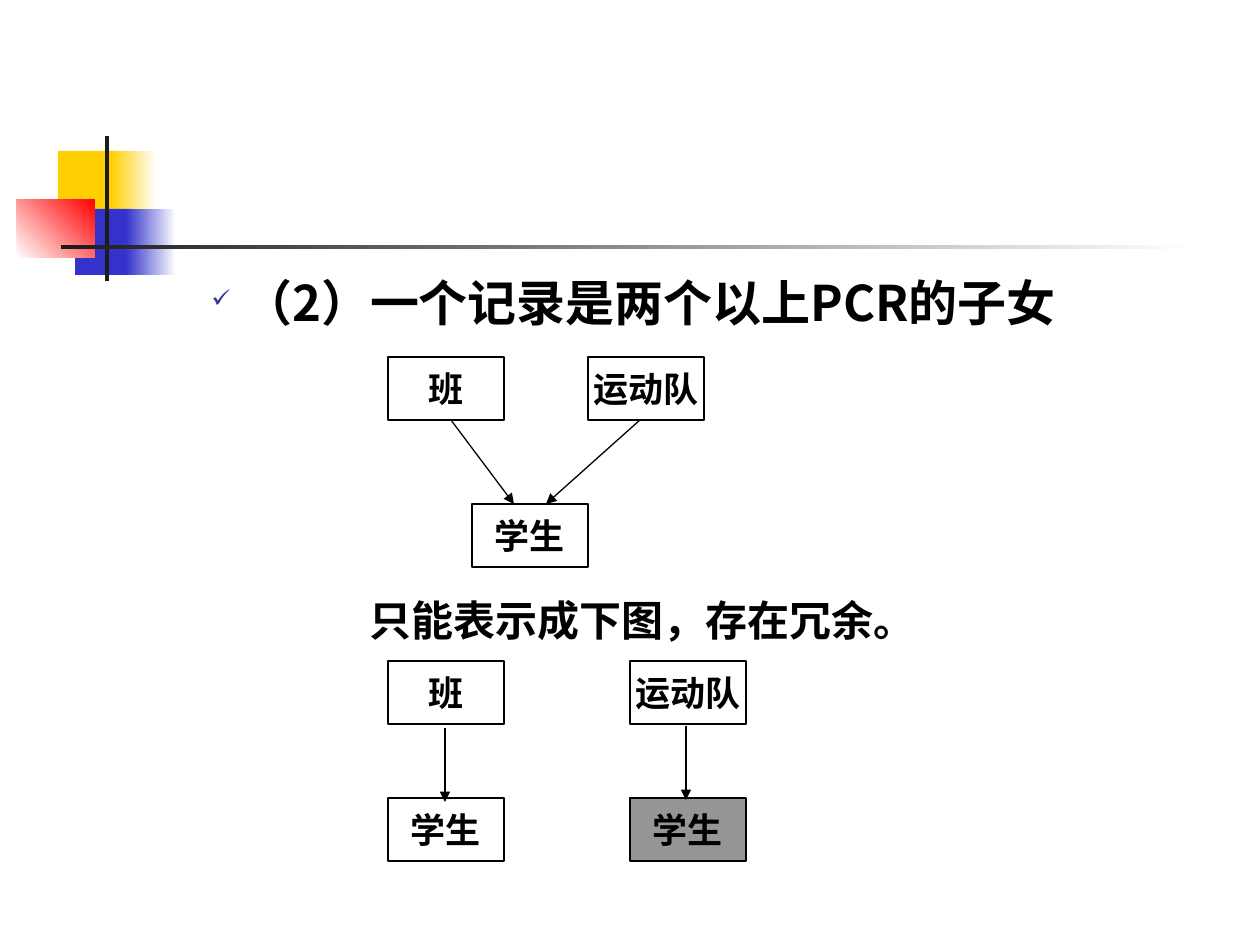
from collections import namedtuple
from lxml.etree import SubElement as Sub
from pptx import Presentation
from pptx.dml.color import RGBColor as RGB
from pptx.enum.shapes import MSO_CONNECTOR as LINK, MSO_SHAPE as SHAPE
from pptx.enum.text import MSO_ANCHOR as ANCHOR, PP_ALIGN as ALIGN
from pptx.oxml.ns import qn
from pptx.util import Pt

Theme = namedtuple("Theme", "gold blue red dark white black gray check head note box line font cjk")
theme = Theme("FFCF01", "3333CC", "FF0000", "1C1C1C", "FFFFFF", "000000", "969696",
              "333399", 28, 24, 20, 0.75, "Cabin", "Noto Sans CJK SC")
PX = 914400 / 126


def emu(*vals):
    return [round(v * PX) for v in vals]


def style(para, size, name):
    font = para.font
    font.size, font.name, font.bold = Pt(size), name, True
    font.color.rgb = RGB.from_string(theme.black)


deck = Presentation()
deck.slide_width, deck.slide_height = emu(1260, 945)
slide = deck.slides.add_slide(deck.slide_layouts[6])
shapes = slide.shapes

motif = [
    (58, 151, 60, 66, theme.gold, None, 0),
    (111, 151, 45, 66, theme.gold, theme.white, 0),
    (75, 209, 58, 66, theme.blue, None, 0),
    (126, 209, 50, 66, theme.blue, theme.white, 0),
    (17, 199, 78, 59, theme.white, theme.red, 45),
    (105, 136, 4, 145, theme.dark, None, 0),
    (61, 245, 1134, 4, theme.dark, theme.white, 0),
]
for x, y, w, h, start, end, angle in motif:
    part = shapes.add_shape(SHAPE.RECTANGLE, *emu(x, y, w, h))
    part.shadow.inherit = False
    part.line.fill.background()
    if end:
        part.fill.gradient()
        part.fill.gradient_angle = angle
        for stop, color in zip(part.fill.gradient_stops, (start, end)):
            stop.color.rgb = RGB.from_string(color)
    else:
        part.fill.solid()
        part.fill.fore_color.rgb = RGB.from_string(start)

frame = shapes.add_textbox(*emu(73, 273, 1071, 68)).text_frame
frame.word_wrap = True
head = frame.paragraphs[0]
head.text = "（2）一个记录是两个以上PCR的子女"
head.level = 2
head.line_spacing = 0.9
head.space_before = Pt(7)
props = head._p.get_or_add_pPr()
left, hang = emu(158, -32)
props.set("marL", str(left))
props.set("indent", str(hang))
Sub(Sub(props, qn("a:buClr")), qn("a:srgbClr"), val=theme.check)
Sub(props, qn("a:buSzPct"), val="50000")
Sub(props, qn("a:buChar"), char="✓")
style(head, theme.head, theme.cjk)

frame = shapes.add_textbox(*emu(357, 588, 662, 63)).text_frame
frame.word_wrap = True
note = frame.paragraphs[0]
note.text = "只能表示成下图，存在冗余。"
note.space_before = Pt(15)
style(note, theme.note, theme.font)

nodes = [
    ("学生", 472, 504, None),
    ("班", 388, 357, None),
    ("运动队", 588, 357, None),
    ("学生", 388, 798, None),
    ("班", 388, 661, None),
    ("学生", 630, 798, theme.gray),
    ("运动队", 630, 661, None),
]
for text, x, y, color in nodes:
    node = shapes.add_shape(SHAPE.RECTANGLE, *emu(x, y, 116, 63))
    node.shadow.inherit = False
    if color:
        node.fill.solid()
        node.fill.fore_color.rgb = RGB.from_string(color)
    else:
        node.fill.background()
    node.line.color.rgb = RGB.from_string(theme.black)
    node.line.width = Pt(theme.line)
    frame = node.text_frame
    frame.word_wrap = False
    frame.vertical_anchor = ANCHOR.MIDDLE
    para = frame.paragraphs[0]
    para.text = text
    para.alignment = ALIGN.CENTER
    style(para, theme.box, theme.font)

arrows = [
    (451, 420, 514, 504),
    (640, 420, 546, 504),
    (445, 728, 445, 802),
    (686, 726, 686, 800),
]
for ends in arrows:
    link = shapes.add_connector(LINK.STRAIGHT, *emu(*ends))
    link.line.color.rgb = RGB.from_string(theme.black)
    link.line.width = Pt(theme.line)
    Sub(link.line._get_or_add_ln(), qn("a:tailEnd"), type="triangle")
    Sub(link._element.spPr, qn("a:effectLst"))

deck.save("out.pptx")
